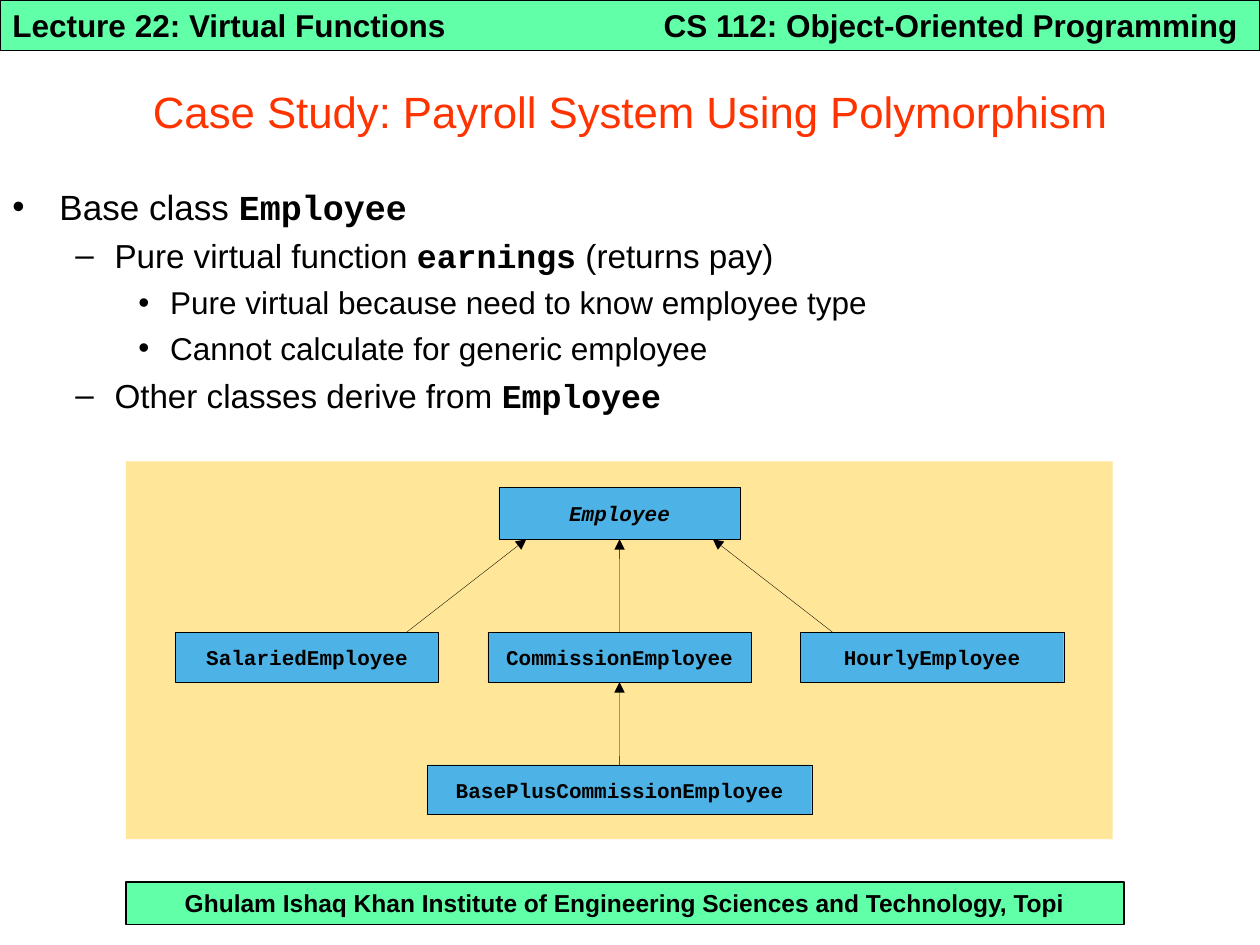
from lxml import etree
from pptx import Presentation
from pptx import util as u
from pptx.dml.color import RGBColor
from pptx.enum import shapes, text
from pptx.oxml.ns import qn

THEME = {
    "sans": "Arial", "mono": "Courier New",
    "black": RGBColor.from_string("000000"),
    "title": RGBColor.from_string("FF3300"),
    "band": RGBColor.from_string("61FFA8"),
    "panel": RGBColor.from_string("FFE699"),
    "class": RGBColor.from_string("4DB3E6"),
    "title_size": 25, "header_size": 18, "footer_size": 14, "class_size": 12,
    "band_line": 0.75, "class_line": 0.2,
}

TITLE = "Case Study: Payroll System Using Polymorphism"
# text, (left, top, width, height) in cm, type size, has fill, alignment
BANDS = [
    ("Ghulam Ishaq Khan Institute of Engineering Sciences and Technology, Topi",
     (2.54, 17.78, 20.12, 0.86), THEME["footer_size"], True, text.PP_ALIGN.CENTER),
    ("Lecture 22: Virtual Functions",
     (0, 0, 25.4, 1.02), THEME["header_size"], True, text.PP_ALIGN.LEFT),
    ("CS 112: Object-Oriented Programming",
     (13.13, 0, 12.27, 1.02), THEME["header_size"], False, text.PP_ALIGN.LEFT),
]
# level, [(text, is code)]
BULLETS = [
    (0, [("Base class ", False), ("Employee", True)]),
    (1, [("Pure virtual function ", False), ("earnings", True), (" (returns pay)", False)]),
    (2, [("Pure virtual because need to know employee type", False)]),
    (2, [("Cannot calculate for generic employee", False)]),
    (1, [("Other classes derive from ", False), ("Employee", True)]),
]
# bullet, text indent in cm, hanging in cm, type size, space before
LEVELS = [("•", 0.95, 0.95, 20, 5), ("–", 2.06, 0.79, 19, 4.8), ("•", 3.18, 0.64, 18, 4.5)]

PANEL = (2.54, 9.3, 19.89, 7.62)
CENTER, COLUMN = 12.49, 6.3
# name: (column offset, top, width, height) in cm
CLASSES = {
    "Employee": (0, 9.83, 4.86, 1.04),
    "SalariedEmployee": (-1, 12.75, 5.31, 1),
    "CommissionEmployee": (0, 12.75, 5.31, 1),
    "HourlyEmployee": (1, 12.75, 5.31, 1),
    "BasePlusCommissionEmployee": (0, 15.42, 7.75, 1),
}
ABSTRACT = "Employee"
STRAIGHT_LINKS = [("CommissionEmployee", "Employee"),
                  ("BasePlusCommissionEmployee", "CommissionEmployee")]
# distance of the slanted arrows from the centre line, at start and end
SLANT_START, SLANT_END = 4.3, 1.88


def place(box):
    return [u.Cm(value) for value in box]


def format_run(run, size, font=THEME["sans"], bold=False, italic=False, color=THEME["black"]):
    run.font.name, run.font.size = font, u.Pt(size)
    run.font.bold, run.font.italic = bold, italic
    run.font.color.rgb = color


def add_rectangle(slide, box, fill, line_width=None):
    shape = slide.shapes.add_shape(shapes.MSO_SHAPE.RECTANGLE, *place(box))
    shape.shadow.inherit = False
    shape.fill.solid()
    shape.fill.fore_color.rgb = fill
    if line_width is None:
        shape.line.fill.background()
    else:
        shape.line.color.rgb = THEME["black"]
        shape.line.width = u.Pt(line_width)
    return shape


def add_band(slide, content, box, size, filled, alignment):
    if filled:
        shape = add_rectangle(slide, box, THEME["band"], THEME["band_line"])
    else:
        shape = slide.shapes.add_textbox(*place(box))
    frame = shape.text_frame
    frame.word_wrap = True
    frame.vertical_anchor = text.MSO_ANCHOR.TOP
    frame.text = content
    frame.paragraphs[0].alignment = alignment
    format_run(frame.paragraphs[0].runs[0], size, bold=True)


def add_title(slide):
    title = slide.shapes.title
    title.left, title.top, title.width, title.height = place((0, 1.07, 25.4, 2.34))
    frame = title.text_frame
    frame.text = TITLE
    frame.auto_size = text.MSO_AUTO_SIZE.NONE
    frame.vertical_anchor = text.MSO_ANCHOR.MIDDLE
    frame.paragraphs[0].alignment = text.PP_ALIGN.CENTER
    format_run(frame.paragraphs[0].runs[0], THEME["title_size"], color=THEME["title"])


def add_bullets(slide):
    frame = slide.shapes.add_textbox(*place((0, 3.61, 25.4, 5.4))).text_frame
    frame.word_wrap = True
    for index, (level, pieces) in enumerate(BULLETS):
        bullet, indent, hanging, size, space = LEVELS[level]
        paragraph = frame.add_paragraph() if index else frame.paragraphs[0]
        paragraph.level = level
        if index:
            paragraph.space_before = u.Pt(space)
        properties = paragraph._p.get_or_add_pPr()
        properties.set("marL", str(u.Cm(indent)))
        properties.set("indent", str(-u.Cm(hanging)))
        etree.SubElement(properties, qn("a:buFont"), typeface=THEME["sans"])
        etree.SubElement(properties, qn("a:buChar"), char=bullet)
        for content, is_code in pieces:
            run = paragraph.add_run()
            run.text = content
            format_run(run, size, THEME["mono" if is_code else "sans"], bold=is_code)


def add_class(slide, name):
    column, top, width, height = CLASSES[name]
    box = (CENTER + column * COLUMN - width / 2, top, width, height)
    shape = add_rectangle(slide, box, THEME["class"], THEME["class_line"])
    frame = shape.text_frame
    frame.margin_left = frame.margin_right = frame.margin_top = frame.margin_bottom = 0
    frame.vertical_anchor = text.MSO_ANCHOR.MIDDLE
    frame.text = name
    frame.paragraphs[0].alignment = text.PP_ALIGN.CENTER
    format_run(frame.paragraphs[0].runs[0], THEME["class_size"], THEME["mono"],
               bold=True, italic=name == ABSTRACT)
    return shape


def add_arrow(slide, start, end):
    arrow = slide.shapes.add_connector(shapes.MSO_CONNECTOR.STRAIGHT, *place(start + end))
    arrow.line.color.rgb = THEME["black"]
    arrow.line.width = u.Pt(THEME["class_line"])
    etree.SubElement(arrow.line._get_or_add_ln(), qn("a:tailEnd"), type="triangle")
    etree.SubElement(arrow._element.spPr, qn("a:effectLst"))
    return arrow


def add_hierarchy(slide):
    add_rectangle(slide, PANEL, THEME["panel"])
    boxes = {name: add_class(slide, name) for name in CLASSES}

    def bottom(name):
        return CLASSES[name][1] + CLASSES[name][3]

    for child, parent in STRAIGHT_LINKS:
        arrow = add_arrow(slide, (CENTER, CLASSES[child][1]), (CENTER, bottom(parent)))
        arrow.begin_connect(boxes[child], 0)
        arrow.end_connect(boxes[parent], 2)
    for child in ("SalariedEmployee", "HourlyEmployee"):
        side, top = CLASSES[child][:2]
        add_arrow(slide, (CENTER + side * SLANT_START, top),
                  (CENTER + side * SLANT_END, bottom("Employee")))


def main():
    presentation = Presentation()
    presentation.slide_width, presentation.slide_height = u.Cm(25.4), u.Cm(19.05)
    slide = presentation.slides.add_slide(presentation.slide_layouts[5])
    for band in BANDS:
        add_band(slide, *band)
    add_title(slide)
    add_bullets(slide)
    add_hierarchy(slide)
    presentation.save("out.pptx")


if __name__ == "__main__":
    main()
